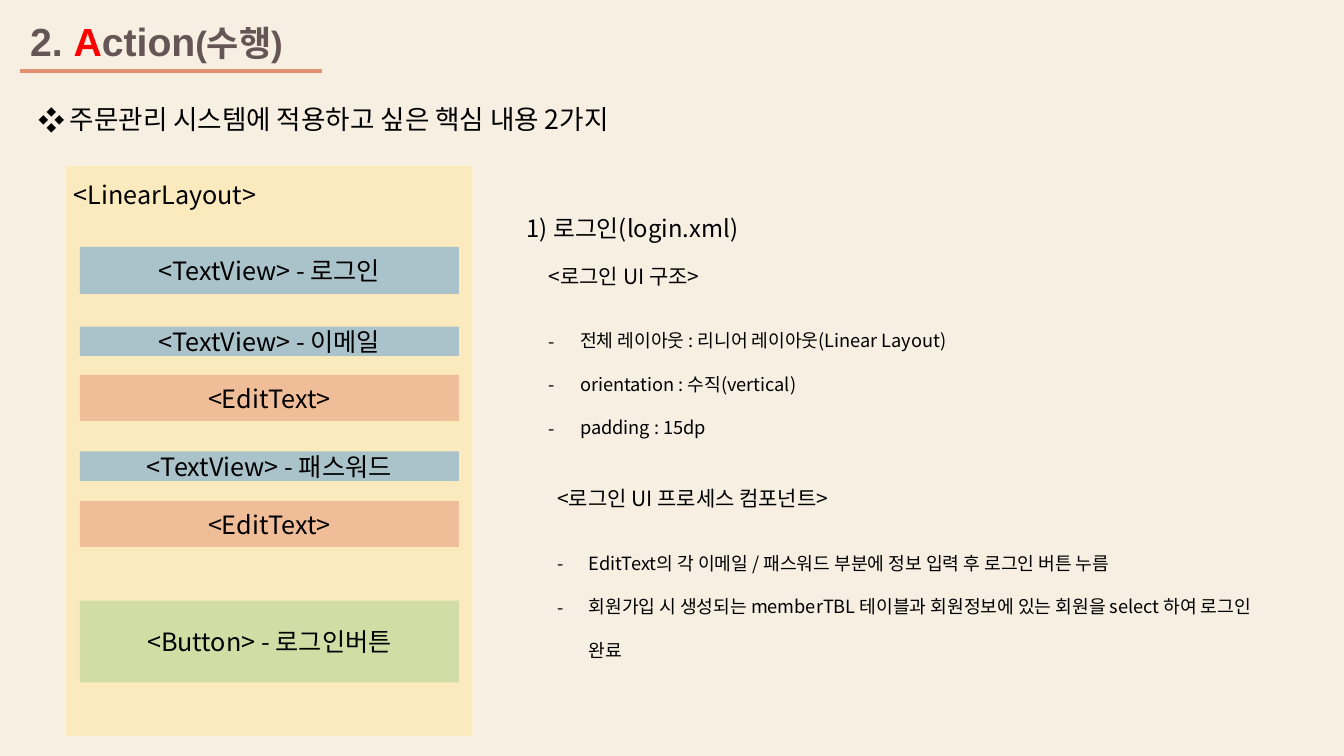
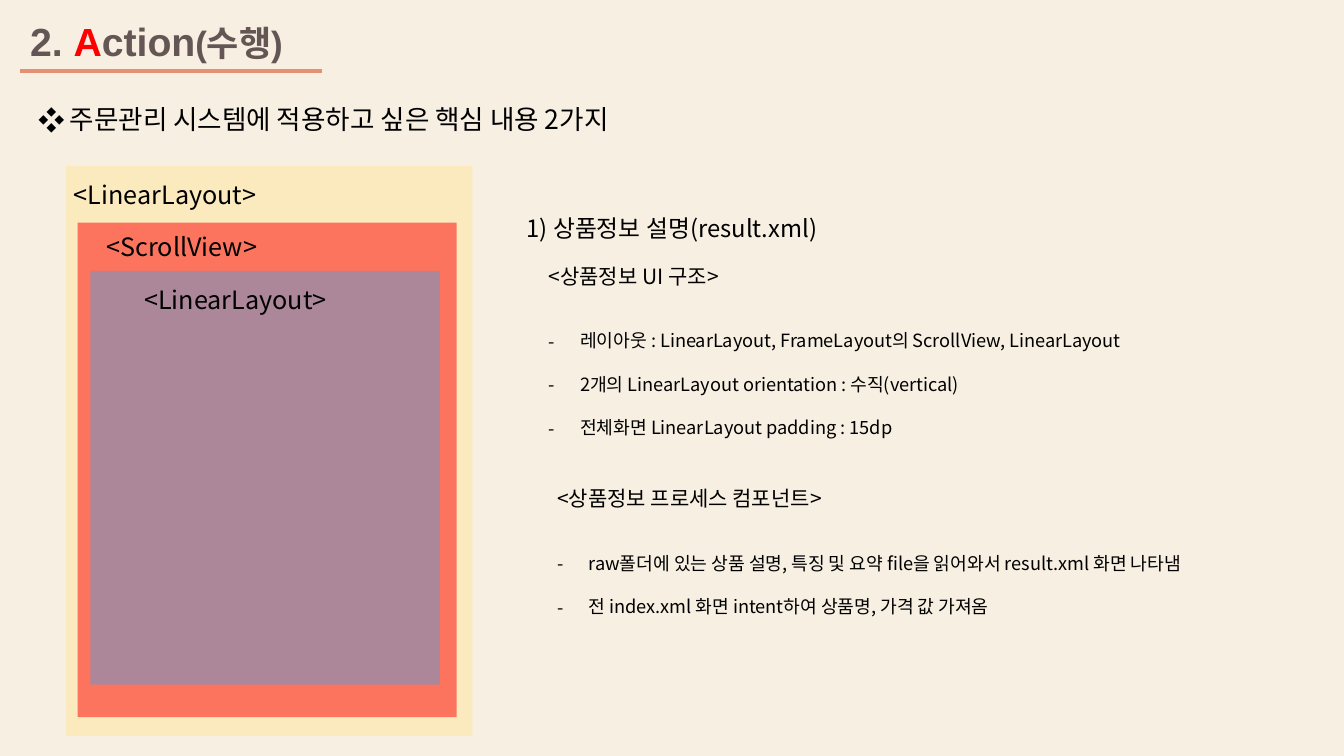
import dataclasses

import lxml.etree
import pptx
import pptx.dml.color
import pptx.enum.shapes
import pptx.enum.text
import pptx.oxml.ns
import pptx.util

EMU_PER_PX = 9525
ANCHOR = pptx.enum.text.MSO_ANCHOR
ALIGN = pptx.enum.text.PP_ALIGN


@dataclasses.dataclass(frozen=True)
class Theme:
    background: str = "F7EFE2"
    title: str = "645654"
    accent: str = "FF0000"
    underline: str = "E49173"
    text: str = "000000"
    frame: str = "FFE699"
    blue: str = "5B9BD5"
    orange: str = "E49173"
    green: str = "A9D18E"
    red: str = "FF0000"
    title_font: str = "Arial"
    body_font: str = "Noto Sans CJK KR"
    title_size: int = 28
    title_korean_size: int = 25
    topic_size: int = 19
    component_size: int = 18
    section_size: int = 17
    heading_size: int = 15
    list_size: int = 13
    opacity: int = 50000


THEME = Theme()
COMPARISON_LAYOUT = 4
PLACEHOLDER_BOXES = {
    0: (19, 12, 337, 55),
    1: (513, 246, 269, 34),
    2: (513, 288, 662, 156),
    3: (521, 458, 390, 34),
    4: (521, 500, 695, 156),
}
COMPONENTS = [
    ("<TextView> - 로그인", 235, 45, THEME.blue),
    ("<TextView> - 이메일", 311, 28, THEME.blue),
    ("<EditText>", 357, 44, THEME.orange),
    ("<TextView> - 패스워드", 430, 28, THEME.blue),
    ("<EditText>", 477, 44, THEME.orange),
    ("<Button> - 로그인버튼", 572, 78, THEME.green),
]
NESTED_LAYOUTS = [
    ("<ScrollView>", (74, 212, 361, 471), (92, 216), THEME.red),
    ("<LinearLayout>", (86, 258, 333, 394), (128, 266), THEME.blue),
]


def px(length):
    return pptx.util.Emu(length * EMU_PER_PX)


def box(values):
    return [px(value) for value in values]


def color(value):
    return pptx.dml.color.RGBColor.from_string(value)


def add_xml(parent, tag, **attributes):
    return lxml.etree.SubElement(parent, pptx.oxml.ns.qn(tag), **attributes)


def prepare_frame(frame, anchor=ANCHOR.TOP):
    frame.word_wrap = True
    frame.auto_size = pptx.enum.text.MSO_AUTO_SIZE.NONE
    frame.vertical_anchor = anchor


def add_run(paragraph, text, size, fill=THEME.text, font=THEME.body_font, bold=False):
    run = paragraph.add_run()
    run.text = text
    run.font.size = pptx.util.Pt(size)
    run.font.bold = bold
    run.font.color.rgb = color(fill)
    run.font.name = font
    add_xml(run.font._element, "a:ea", typeface=THEME.body_font)


def set_bullet(paragraph, character):
    properties = paragraph._p.get_or_add_pPr()
    properties.set("marL", str(px(30)))
    properties.set("indent", str(px(-30)))
    add_xml(properties, "a:buFont", typeface=THEME.body_font)
    add_xml(properties, "a:buChar", char=character)


def write_lines(frame, lines, size, align=ALIGN.LEFT, bullet=None, spacing=1.0, anchor=ANCHOR.TOP):
    prepare_frame(frame, anchor)
    for index, line in enumerate(lines):
        paragraph = frame.add_paragraph() if index else frame.paragraphs[0]
        if bullet:
            set_bullet(paragraph, bullet)
        paragraph.alignment = align
        paragraph.line_spacing = spacing
        paragraph.space_before = pptx.util.Pt(0)
        add_run(paragraph, line, size)


def add_label(slide, position, text, size, bullet=None):
    label = slide.shapes.add_textbox(*box(position))
    write_lines(label.text_frame, [text], size, bullet=bullet)


def add_panel(slide, position, fill, text=None):
    panel = slide.shapes.add_shape(pptx.enum.shapes.MSO_SHAPE.RECTANGLE, *box(position))
    panel.shadow.inherit = False
    panel.line.fill.background()
    panel.fill.solid()
    panel.fill.fore_color.rgb = color(fill)
    for value in panel._element.spPr.iter(pptx.oxml.ns.qn("a:srgbClr")):
        add_xml(value, "a:alpha", val=str(THEME.opacity))
    if text:
        write_lines(panel.text_frame, [text], THEME.component_size,
                    align=ALIGN.CENTER, anchor=ANCHOR.MIDDLE)


def add_title(slide):
    frame = slide.shapes.title.text_frame
    prepare_frame(frame)
    paragraph = frame.paragraphs[0]
    paragraph.alignment = ALIGN.LEFT
    for text, size, fill in (
        ("2. ", THEME.title_size, THEME.title),
        ("A", THEME.title_size, THEME.accent),
        ("ction", THEME.title_size, THEME.title),
        ("(수행)", THEME.title_korean_size, THEME.title),
    ):
        add_run(paragraph, text, size, fill, THEME.title_font, True)
    underline = slide.shapes.add_connector(
        pptx.enum.shapes.MSO_CONNECTOR.STRAIGHT, px(19), px(68), px(307), px(68))
    underline.line.color.rgb = color(THEME.underline)
    underline.line.width = pptx.util.Pt(3)
    add_xml(underline._element.spPr, "a:effectLst")


def add_content_slide(presentation, section, groups):
    slide = presentation.slides.add_slide(presentation.slide_layouts[COMPARISON_LAYOUT])
    add_title(slide)
    add_label(slide, (27, 93, 634, 40), "주문관리 시스템에 적용하고 싶은 핵심 내용 2가지",
              THEME.topic_size, "❖")
    add_label(slide, (492, 199, 340, 40), section, THEME.section_size)
    for index, (heading, items) in enumerate(groups):
        heading_frame = slide.placeholders[2 * index + 1].text_frame
        list_frame = slide.placeholders[2 * index + 2].text_frame
        write_lines(heading_frame, [heading], THEME.heading_size)
        write_lines(list_frame, items, THEME.list_size, bullet="-", spacing=2.0)
    add_panel(slide, (63, 158, 387, 543), THEME.frame)
    add_label(slide, (61, 166, 262, 38), "<LinearLayout>", THEME.component_size)
    return slide


def add_login_slide(presentation):
    slide = add_content_slide(presentation, "1) 로그인(login.xml)", [
        ("<로그인 UI 구조>", [
            "전체 레이아웃 : 리니어 레이아웃(Linear Layout)",
            "orientation : 수직(vertical)",
            "padding : 15dp",
        ]),
        ("<로그인 UI 프로세스 컴포넌트>", [
            "EditText의 각 이메일 / 패스워드 부분에 정보 입력 후 로그인 버튼 누름",
            "회원가입 시 생성되는 memberTBL 테이블과 회원정보에 있는 회원을 select 하여 로그인 완료",
        ]),
    ])
    for text, top, height, fill in COMPONENTS:
        add_panel(slide, (76, top, 361, height), fill, text)


def add_product_slide(presentation):
    slide = add_content_slide(presentation, "1) 상품정보 설명(result.xml)", [
        ("<상품정보 UI 구조>", [
            "레이아웃 : LinearLayout, FrameLayout의 ScrollView, LinearLayout",
            "2개의 LinearLayout orientation : 수직(vertical)",
            "전체화면 LinearLayout padding : 15dp",
        ]),
        ("<상품정보 프로세스 컴포넌트>", [
            "raw폴더에 있는 상품 설명, 특징 및 요약 file을 읽어와서 result.xml 화면 나타냄",
            "전 index.xml 화면 intent하여 상품명, 가격 값 가져옴",
        ]),
    ])
    for text, position, label_position, fill in NESTED_LAYOUTS:
        add_panel(slide, position, fill)
        add_label(slide, (*label_position, 262, 38), text, THEME.component_size)


def prepare_template(presentation):
    presentation.slide_width, presentation.slide_height = px(1280), px(720)
    background = presentation.slide_master.background.fill
    background.solid()
    background.fore_color.rgb = color(THEME.background)
    for placeholder in presentation.slide_layouts[COMPARISON_LAYOUT].placeholders:
        position = PLACEHOLDER_BOXES.get(placeholder.placeholder_format.idx)
        if position:
            placeholder.left, placeholder.top, placeholder.width, placeholder.height = box(position)


def main():
    presentation = pptx.Presentation()
    prepare_template(presentation)
    add_login_slide(presentation)
    add_product_slide(presentation)
    presentation.save("out.pptx")


if __name__ == "__main__":
    main()
